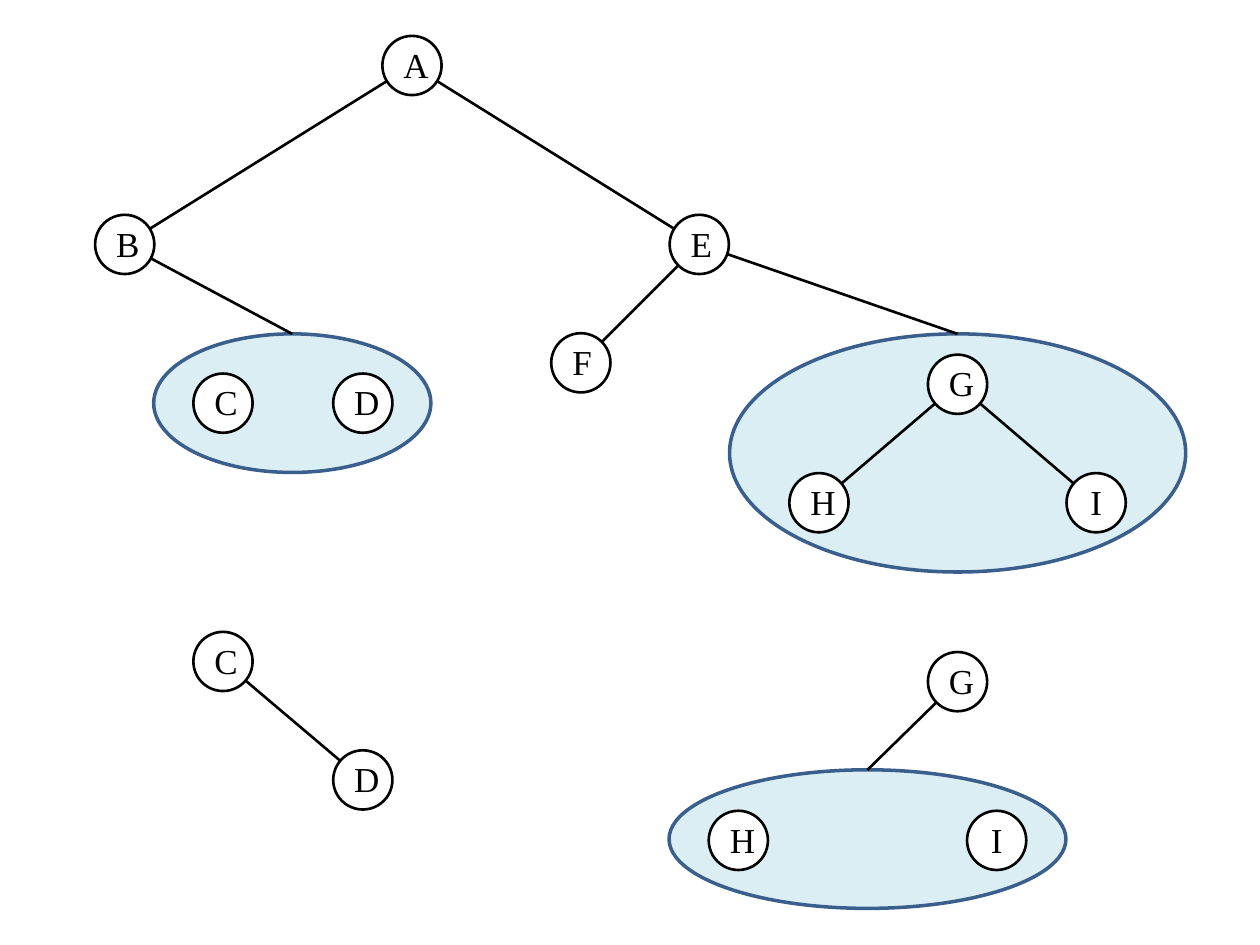
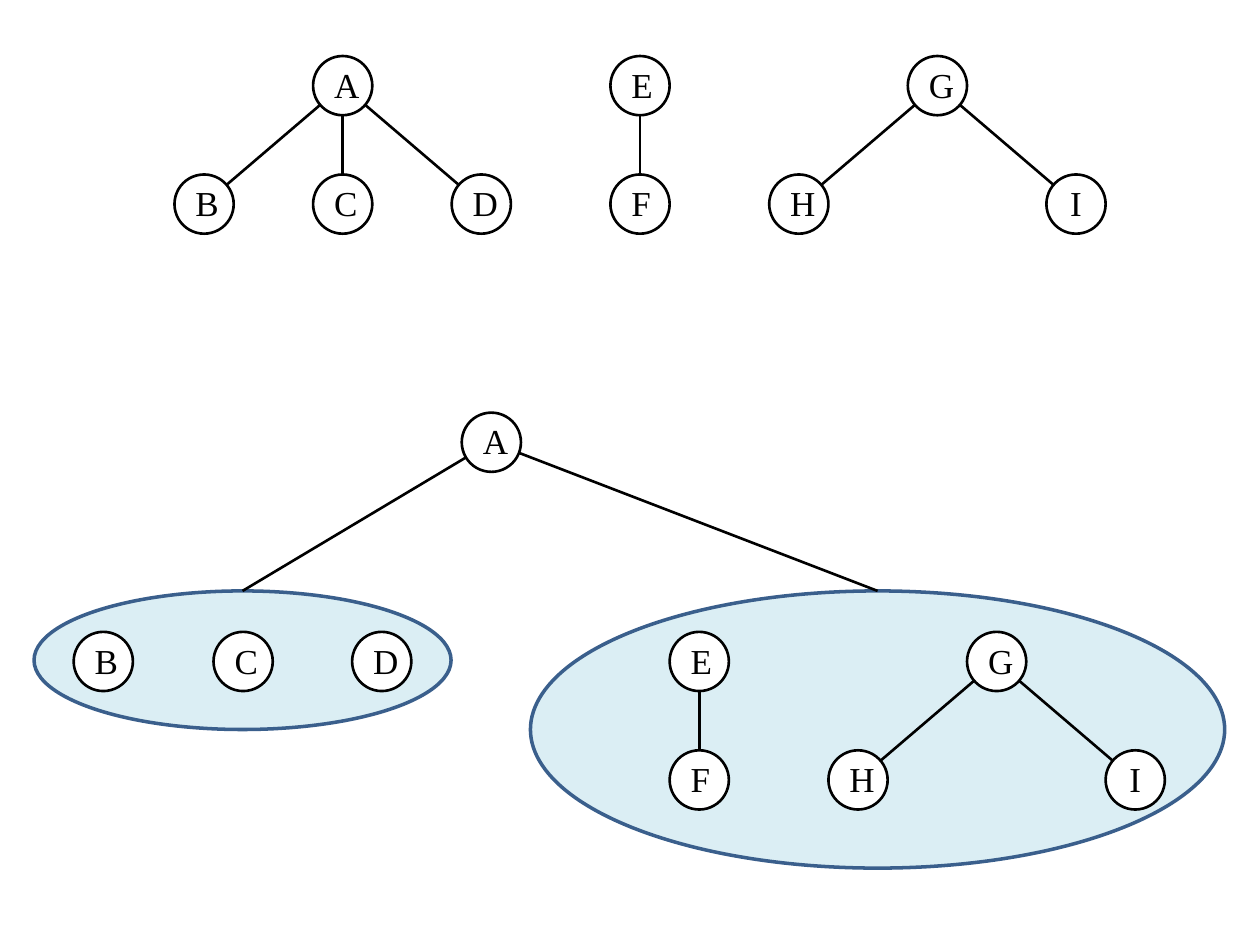
"""Draw tree diagrams whose subtrees may be gathered in shaded ellipses."""
from lxml import etree
from pptx import Presentation
from pptx.dml.color import RGBColor
from pptx.enum.shapes import MSO_CONNECTOR, MSO_SHAPE
from pptx.enum.text import MSO_ANCHOR, PP_ALIGN
from pptx.oxml.ns import qn
from pptx.util import Inches, Pt

BLACK = RGBColor(0x00, 0x00, 0x00)
WHITE = RGBColor(0xFF, 0xFF, 0xFF)
PALE = RGBColor(0xDB, 0xEE, 0xF4)
BLUE = RGBColor(0x3A, 0x5F, 0x8C)
FONT = "Times New Roman"
NODE = 0.47
DX, DY = 1.1, 0.94


def fan(root, x, y, kids):
    nodes = {root: (x, y)}
    for i, kid in enumerate(kids):
        shift = 2 * i / (len(kids) - 1) - 1 if len(kids) > 1 else 0
        nodes[kid] = (x + shift * DX, y + DY)
    return nodes


def add_ellipse(s, x, y, w, h, fill, line, width):
    sp = s.shapes.add_shape(MSO_SHAPE.OVAL, Inches(x), Inches(y), Inches(w), Inches(h))
    sp.shadow.inherit = False
    sp.fill.solid()
    sp.fill.fore_color.rgb = fill
    sp.line.color.rgb = line
    sp.line.width = Pt(width)
    return sp


# Each figure holds groups (left, top, width, height), node centres and edges.
slides = [
    [
        (
            {"CD": (1.22, 2.65, 2.2, 1.1), "GHI": (5.79, 2.65, 3.62, 1.89)},
            {"A": (3.27, 0.52), "B": (0.99, 1.94), "E": (5.55, 1.94), "F": (4.61, 2.88),
             "C": (1.77, 3.2), "D": (2.88, 3.2), **fan("G", 7.6, 3.05, "HI")},
            [("A", "B"), ("A", "E"), ("B", "CD"), ("E", "F"), ("E", "GHI"),
             ("G", "H"), ("G", "I")],
        ),
        ({}, {"C": (1.77, 5.25), "D": (2.88, 6.19)}, [("C", "D")]),
        (
            {"HI": (5.31, 6.11, 3.15, 1.1)},
            {"G": (7.6, 5.41), "H": (5.86, 6.67), "I": (7.91, 6.67)},
            [("G", "HI")],
        ),
    ],
    [
        ({}, fan("A", 2.72, 0.68, "BCD"), [("A", "B"), ("A", "C"), ("A", "D")]),
        ({}, fan("E", 5.08, 0.68, "F"), [("E", "F")]),
        ({}, fan("G", 7.44, 0.68, "HI"), [("G", "H"), ("G", "I")]),
        (
            {"EFGHI": (4.21, 4.69, 5.51, 2.2), "BCD": (0.27, 4.69, 3.31, 1.1)},
            {"A": (3.9, 3.51), "B": (0.82, 5.25), "C": (1.93, 5.25), "D": (3.03, 5.25),
             **fan("E", 5.55, 5.25, "F"), **fan("G", 7.91, 5.25, "HI")},
            [("A", "BCD"), ("A", "EFGHI"), ("E", "F"), ("G", "H"), ("G", "I")],
        ),
    ],
]

prs = Presentation()
prs.slide_width, prs.slide_height = Inches(10), Inches(7.5)

for figures in slides:
    s = prs.slides.add_slide(prs.slide_layouts[6])
    for groups, nodes, edges in figures:
        ends = dict(nodes)
        for name, (x, y, w, h) in groups.items():
            add_ellipse(s, x, y, w, h, PALE, BLUE, 2)
            ends[name] = (x + w / 2, y)

        for start, end in edges:
            points = [Inches(v) for v in ends[start] + ends[end]]
            line = s.shapes.add_connector(MSO_CONNECTOR.STRAIGHT, *points)
            line.line.color.rgb = BLACK
            line.line.width = Pt(1.5)
            etree.SubElement(line._element.spPr, qn("a:effectLst"))

        for name, (x, y) in nodes.items():
            sp = add_ellipse(s, x - NODE / 2, y - NODE / 2, NODE, NODE, WHITE, BLACK, 1.5)
            tf = sp.text_frame
            tf.word_wrap = True
            tf.vertical_anchor = MSO_ANCHOR.BOTTOM
            tf.margin_left = tf.margin_right = Inches(0.1)
            tf.margin_top, tf.margin_bottom = Inches(0), Inches(0.01)
            p = tf.paragraphs[0]
            p.alignment = PP_ALIGN.CENTER
            r = p.add_run()
            r.text = name
            r.font.name = FONT
            r.font.size = Pt(20)
            r.font.color.rgb = BLACK

prs.save("out.pptx")
